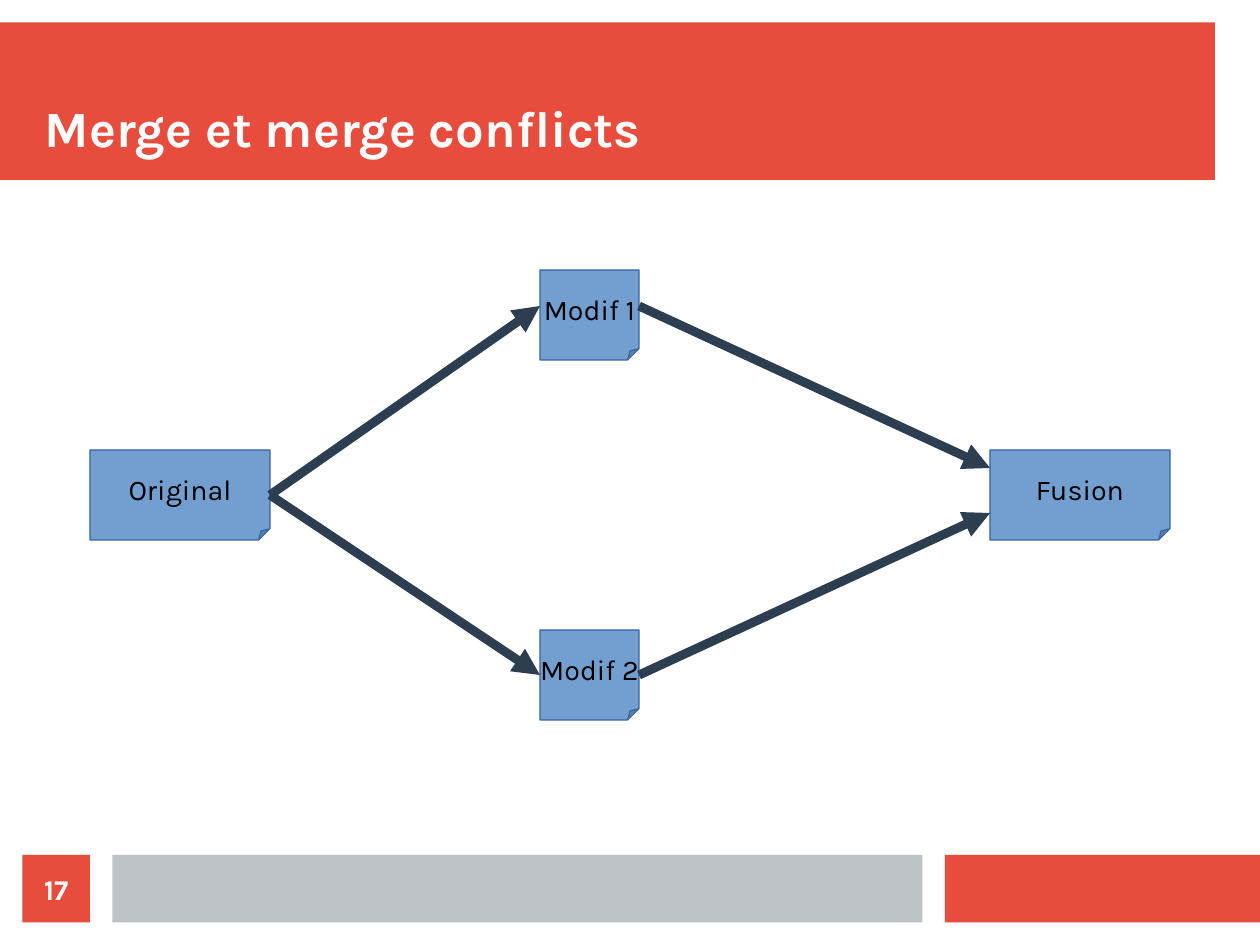
from pptx import Presentation
from pptx.dml.color import RGBColor
from pptx.enum.shapes import MSO_CONNECTOR, MSO_SHAPE
from pptx.enum.text import MSO_ANCHOR, PP_ALIGN
from pptx.oxml.ns import qn
from pptx.util import Cm, Pt
from lxml import etree

RECTANGLE, NOTE = MSO_SHAPE.RECTANGLE, MSO_SHAPE.FOLDED_CORNER
STRAIGHT = MSO_CONNECTOR.STRAIGHT
MIDDLE, BOTTOM = MSO_ANCHOR.MIDDLE, MSO_ANCHOR.BOTTOM
LEFT, CENTER = PP_ALIGN.LEFT, PP_ALIGN.CENTER
LEFT_SITE, RIGHT_SITE = 1, 3

# The page is a grid of 28 columns by 21 rows, one centimetre each
COLUMNS, ROWS = 28, 21
FONT = "Karla"
RED, GREY, WHITE, BLACK = "E74C3C", "BDC3C7", "FFFFFF", "000000"
NOTE_BLUE, NOTE_EDGE, ARROW = "729FCF", "3465A4", "2C3E50"


def color(value):
    return RGBColor.from_string(value)


def add_block(page, kind, box, fill, edge=None):
    block = page.shapes.add_shape(kind, *map(Cm, box))
    block.shadow.inherit = False
    block.fill.solid()
    block.fill.fore_color.rgb = color(fill)
    if edge:
        block.line.color.rgb = color(edge)
        block.line.width = Pt(0)
    else:
        block.line.fill.background()
    return block


def write(shape, text, size, ink, bold=False, align=CENTER, anchor=MIDDLE,
          wrap=True, margins=(0, 0)):
    frame = shape.text_frame
    frame.word_wrap = wrap
    frame.vertical_anchor = anchor
    frame.margin_left = frame.margin_right = Cm(margins[0])
    frame.margin_top = frame.margin_bottom = Cm(margins[1])
    para = frame.paragraphs[0]
    para.text = text
    para.alignment = align
    para.font.name = FONT
    para.font.size = Pt(size)
    para.font.bold = bold
    para.font.color.rgb = color(ink)


def add_header(page, box, title):
    left, top, width, height = box
    add_block(page, RECTANGLE, box, RED)
    title_box = page.shapes.add_textbox(
        Cm(left + 1), Cm(top + 0.5), Cm(width - 1), Cm(height - 1))
    write(title_box, title, 32, WHITE, True, LEFT, BOTTOM)


def add_footer(page, box, number):
    left, top, width, height = box
    bars = [(0.5, height, RED), (2.5, 18, GREY), (21, width - 21, RED)]
    blocks = [add_block(page, RECTANGLE, (left + start, top, span, height), fill)
              for start, span, fill in bars]
    write(blocks[0], number, 18, WHITE, True)


def set_fold(note, share):
    """Sets how much of the note's height its folded corner takes."""
    guides = note._element.spPr.find(qn("a:prstGeom")).get_or_add_avLst()
    etree.SubElement(guides, qn("a:gd"), name="adj",
                     fmla=f"val {round(share * 100000)}")


def add_arrow(page, start, end, start_share, end_share):
    """Shares tell how far down each note's side the arrow meets it."""
    arrow = page.shapes.add_connector(
        STRAIGHT,
        start.left + start.width, start.top + round(start.height * start_share),
        end.left, end.top + round(end.height * end_share))
    if start_share == 0.5:
        arrow.begin_connect(start, RIGHT_SITE)
    if end_share == 0.5:
        arrow.end_connect(end, LEFT_SITE)
    arrow.line.color.rgb = color(ARROW)
    arrow.line.width = Pt(5.67)
    properties = arrow._element.spPr
    etree.SubElement(properties.find(qn("a:ln")), qn("a:tailEnd"), type="triangle")
    etree.SubElement(properties, qn("a:effectLst"))


def add_merge_diagram(page, box):
    left, top, width, height = box
    wide, narrow, tall = 4, 2.2, 2
    center_row = (height - tall) / 2
    places = {
        "Original": (0, center_row, wide),
        "Modif 1": (10, 0, narrow),
        "Modif 2": (10, height - tall, narrow),
        "Fusion": (width - wide, center_row, wide),
    }
    notes = {}
    for label, (column, row, span) in places.items():
        note = add_block(page, NOTE, (left + column, top + row, span, tall),
                         NOTE_BLUE, NOTE_EDGE)
        set_fold(note, 0.125)
        write(note, label, 18, BLACK, wrap=False, margins=(0.25, 0.13))
        notes[label] = note

    # Each branch leaves the first note and comes back in the last
    for label, branch_share, merge_share in [("Modif 1", 0.4, 0.2),
                                             ("Modif 2", 0.5, 0.7)]:
        add_arrow(page, notes["Original"], notes[label], 0.5, branch_share)
        add_arrow(page, notes[label], notes["Fusion"], branch_share, merge_share)


def main():
    deck = Presentation()
    deck.slide_width, deck.slide_height = Cm(COLUMNS), Cm(ROWS)
    page = deck.slides.add_slide(deck.slide_layouts[6])
    add_header(page, (0, 0.5, COLUMNS - 1, 3.5), "Merge et merge conflicts")
    add_merge_diagram(page, (2, 6, COLUMNS - 4, 10))
    add_footer(page, (0, ROWS - 2, COLUMNS, 1.5), "17")
    deck.save("out.pptx")


if __name__ == "__main__":
    main()
